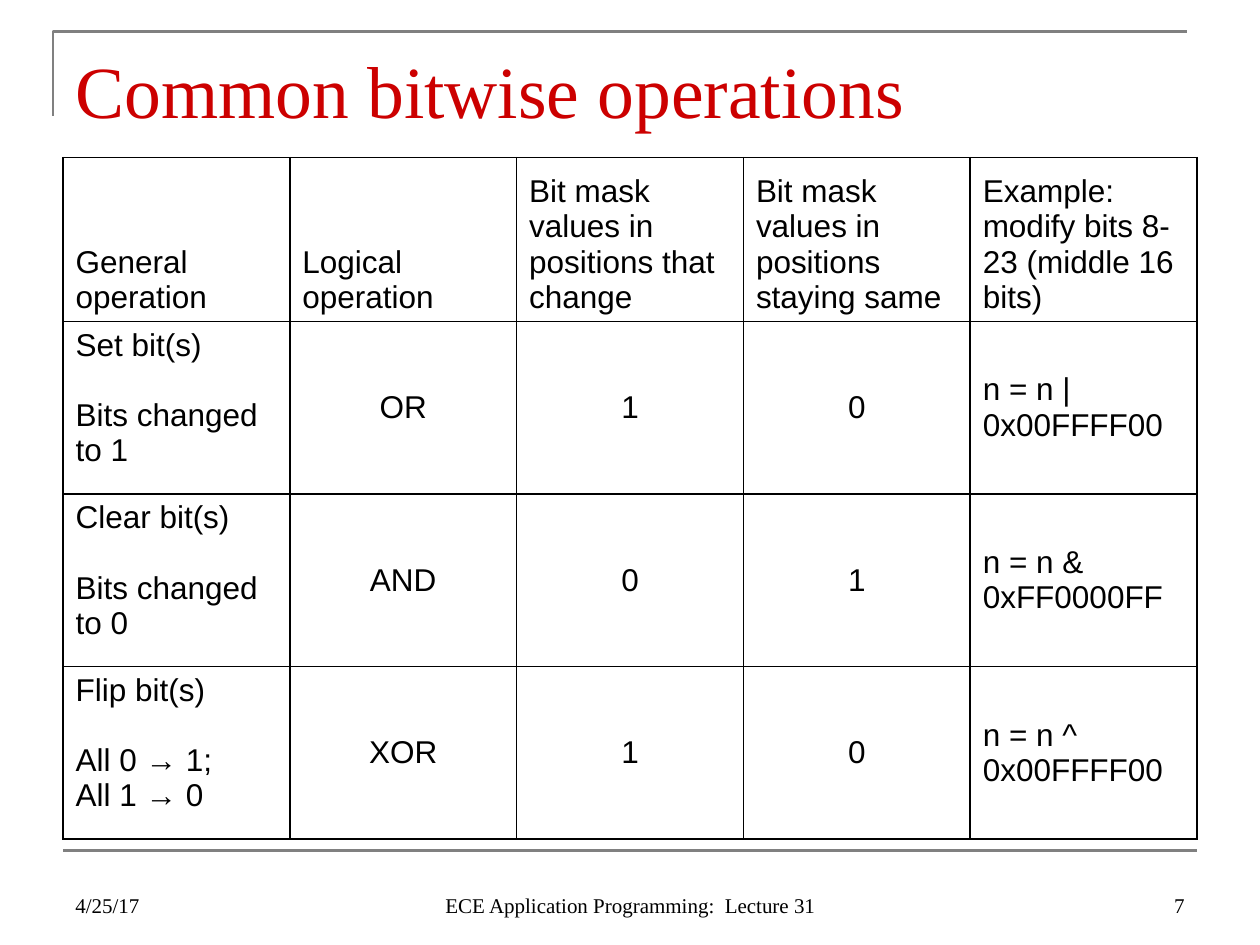
from dataclasses import dataclass

from lxml.etree import SubElement
from pptx import Presentation
from pptx.dml.color import RGBColor
from pptx.enum.shapes import MSO_CONNECTOR
from pptx.enum.text import MSO_ANCHOR, MSO_AUTO_SIZE, PP_ALIGN
from pptx.oxml import parse_xml
from pptx.oxml.ns import nsdecls, qn
from pptx.util import Emu, Pt

BLACK = RGBColor(0x00, 0x00, 0x00)
WHITE = RGBColor(0xFF, 0xFF, 0xFF)
GRAY = RGBColor(0x80, 0x80, 0x80)
RED = RGBColor(0xCC, 0x00, 0x00)
SERIF = "Times New Roman"
SANS = "Arial"
SCALE = 9144
COLS = 5
WIDE = 180
HIGH = (130, 137, 137, 137)


@dataclass
class Note:
    text: str
    left: int
    width: int
    align: PP_ALIGN


@dataclass
class Task:
    name: str
    effect: tuple
    logic: str
    change: str
    keep: str
    code: str


HEADS = (
    "General operation",
    "Logical operation",
    "Bit mask values in positions that change",
    "Bit mask values in positions staying same",
    "Example: modify bits 8-23 (middle 16 bits)",
)
TASKS = (
    Task("Set bit(s)", ("Bits changed to 1",), "OR", "1", "0", "n = n | 0x00FFFF00"),
    Task("Clear bit(s)", ("Bits changed to 0",), "AND", "0", "1", "n = n & 0xFF0000FF"),
    Task("Flip bit(s)", ("All 0 → 1;", "All 1 → 0"), "XOR", "1", "0", "n = n ^ 0x00FFFF00"),
)
NOTES = (
    Note("4/25/17", 50, 233, PP_ALIGN.LEFT),
    Note("ECE Application Programming:  Lecture 31", 342, 317, PP_ALIGN.CENTER),
    Note("7", 717, 233, PP_ALIGN.RIGHT),
)


def px(num: int) -> Emu:
    return Emu(num * SCALE)


def style(para, size: int, face: str, color: RGBColor, align=PP_ALIGN.LEFT) -> None:
    para.alignment = align
    for run in para.runs:
        run.font.size = Pt(size)
        run.font.name = face
        run.font.bold = False
        run.font.color.rgb = color


def edge(cell) -> None:
    props = cell._tc.get_or_add_tcPr()
    for spot, side in enumerate(("lnL", "lnR", "lnT", "lnB")):
        line = parse_xml(
            f'<a:{side} {nsdecls("a")} w="12700"><a:solidFill>'
            f'<a:srgbClr val="{BLACK}"/></a:solidFill></a:{side}>'
        )
        props.insert(spot, line)


def put(cell, text: str, anchor: MSO_ANCHOR, align=PP_ALIGN.LEFT) -> None:
    cell.text_frame.text = text
    cell.vertical_anchor = anchor
    cell.fill.solid()
    cell.fill.fore_color.rgb = WHITE
    edge(cell)
    for para in cell.text_frame.paragraphs:
        style(para, 18, SANS, BLACK, align)


def rules(slide) -> None:
    path = slide.shapes.build_freeform(42, 92, scale=SCALE)
    path.add_line_segments([(42, 25), (942, 25)], close=False)
    frame = path.convert_to_shape()
    frame.shadow.inherit = False
    frame.fill.background()
    base = slide.shapes.add_connector(
        MSO_CONNECTOR.STRAIGHT, px(50), px(675), px(950), px(675)
    )
    SubElement(base._element.spPr, qn("a:effectLst"))
    for item in (frame, base):
        item.line.color.rgb = GRAY
        item.line.width = Pt(1.5)


def head(slide) -> None:
    title = slide.shapes.title
    title.left, title.top, title.width, title.height = map(px, (50, 30, 900, 78))
    frame = title.text_frame
    frame.text = "Common bitwise operations"
    frame.auto_size = MSO_AUTO_SIZE.NONE
    frame.vertical_anchor = MSO_ANCHOR.BOTTOM
    frame.margin_bottom = px(2)
    style(frame.paragraphs[0], 42, SERIF, RED)


def grid(slide) -> None:
    table = slide.shapes.add_table(
        len(HIGH), COLS, px(50), px(125), px(WIDE * COLS), px(sum(HIGH))
    ).table
    table.first_row = False
    table.horz_banding = False
    for col in table.columns:
        col.width = px(WIDE)
    for row, high in zip(table.rows, HIGH):
        row.height = px(high)
    for col, text in enumerate(HEADS):
        put(table.cell(0, col), text, MSO_ANCHOR.BOTTOM)
    for row, task in enumerate(TASKS, 1):
        first = table.cell(row, 0)
        put(first, "\n".join((task.name, *task.effect)), MSO_ANCHOR.TOP)
        first.text_frame.paragraphs[1].space_before = Pt(20)
        for col, text in enumerate((task.logic, task.change, task.keep), 1):
            put(table.cell(row, col), text, MSO_ANCHOR.MIDDLE, PP_ALIGN.CENTER)
        put(table.cell(row, 4), task.code, MSO_ANCHOR.MIDDLE)


def foot(slide, note: Note) -> None:
    box = slide.shapes.add_textbox(px(note.left), px(683), px(note.width), px(50))
    frame = box.text_frame
    frame.word_wrap = True
    frame.vertical_anchor = MSO_ANCHOR.BOTTOM
    frame.text = note.text
    style(frame.paragraphs[0], 12, SERIF, BLACK, note.align)


def main() -> None:
    deck = Presentation()
    deck.slide_width, deck.slide_height = px(1000), px(750)
    slide = deck.slides.add_slide(deck.slide_layouts[5])
    rules(slide)
    head(slide)
    grid(slide)
    for note in NOTES:
        foot(slide, note)
    deck.save("out.pptx")


if __name__ == "__main__":
    main()
